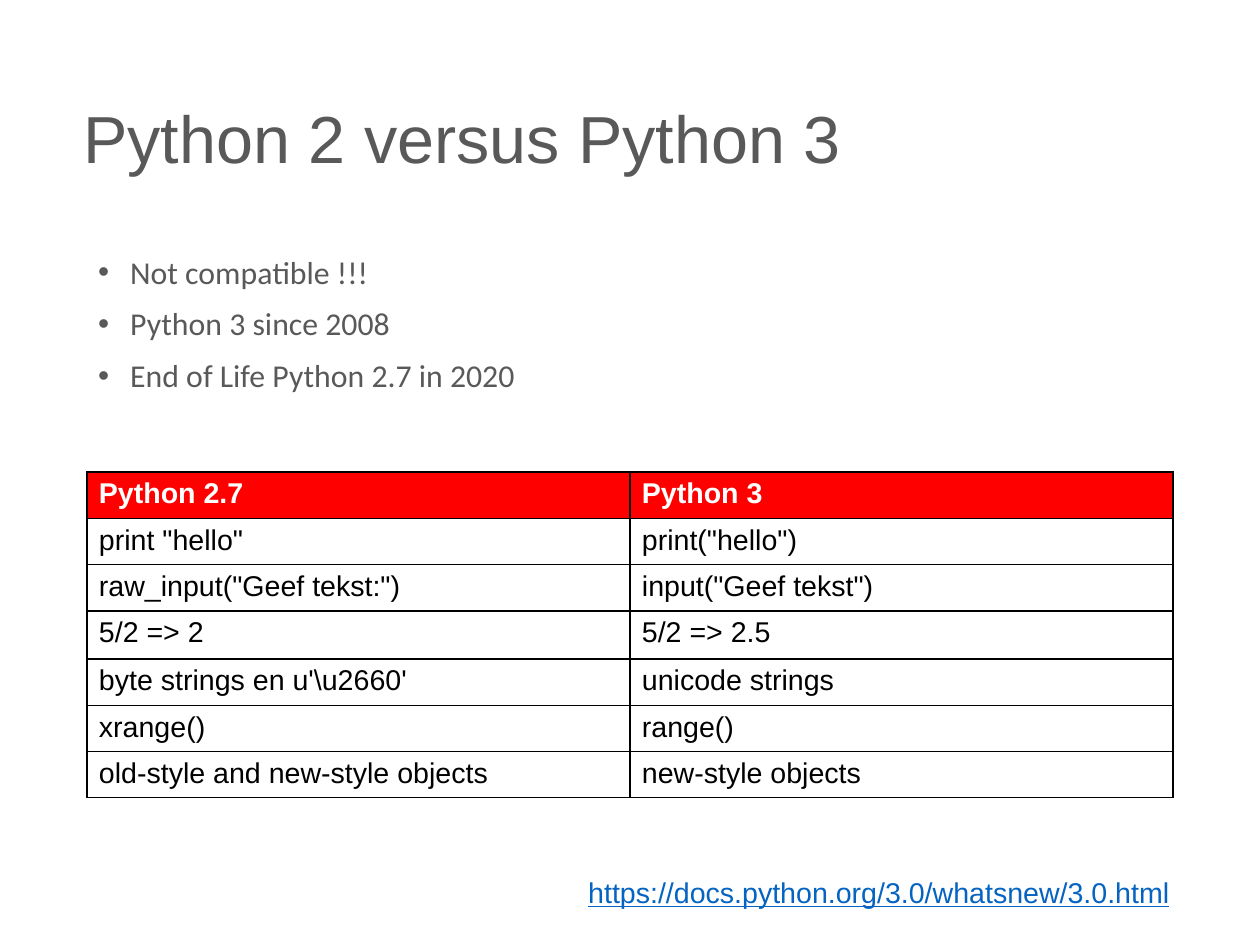
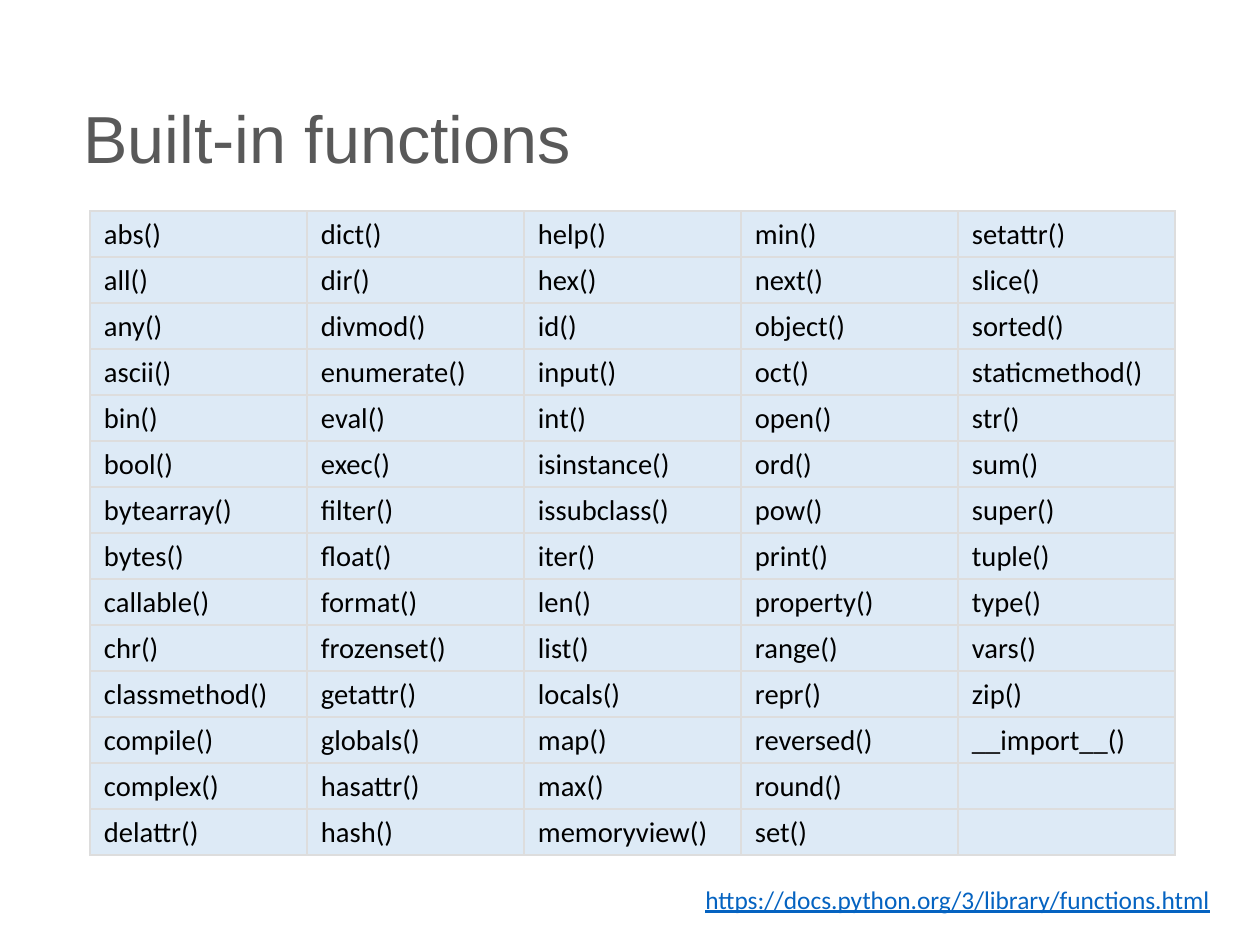
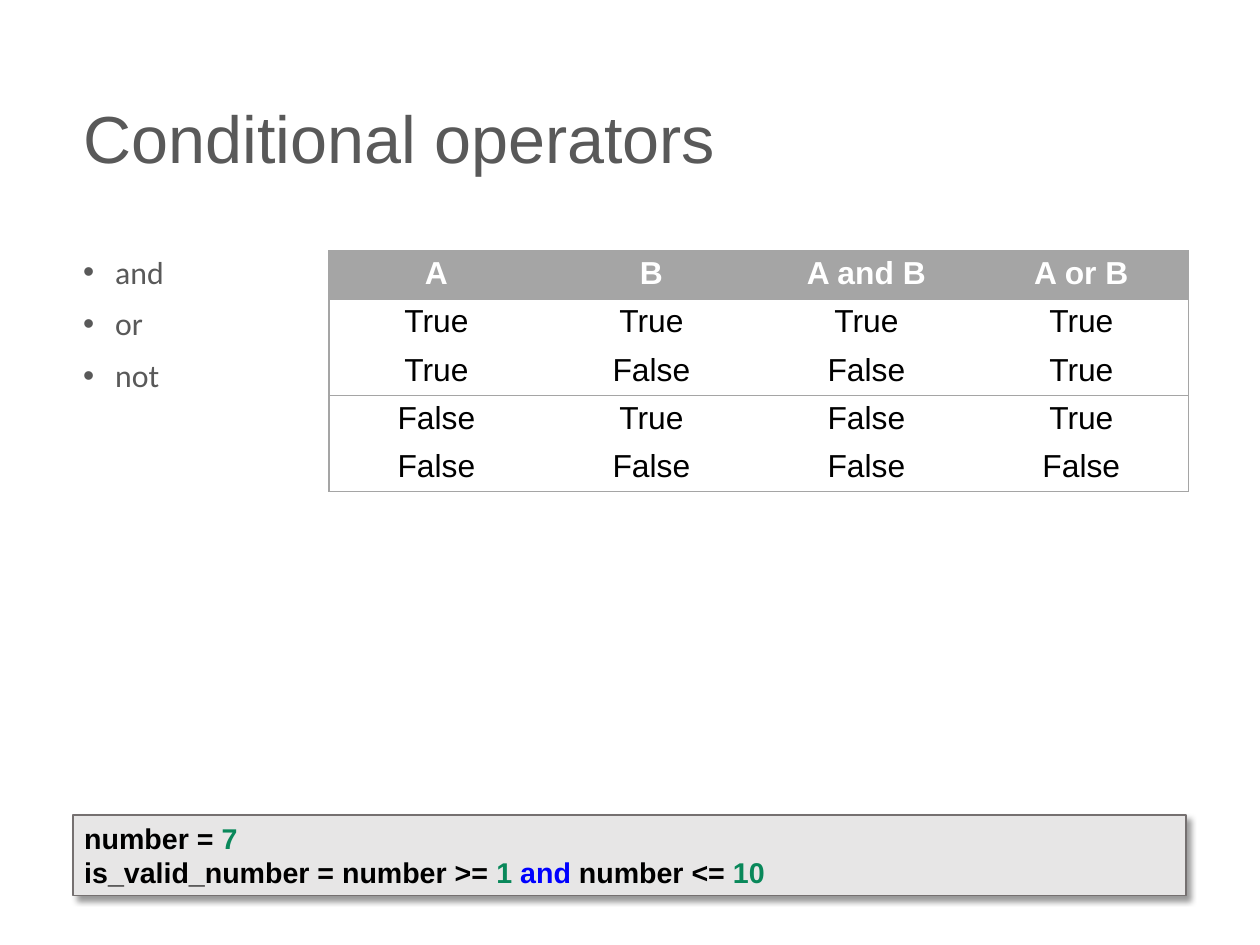
from itertools import zip_longest

from lxml import etree
from pptx import Presentation
from pptx.dml.color import RGBColor
from pptx.enum.shapes import MSO_SHAPE
from pptx.enum.text import MSO_ANCHOR, MSO_AUTO_SIZE, PP_ALIGN
from pptx.oxml.ns import qn
from pptx.util import Pt

PX = 8000  # EMU per px
LEFT, CENTER, RIGHT = PP_ALIGN.LEFT, PP_ALIGN.CENTER, PP_ALIGN.RIGHT
TOP, MIDDLE, BOTTOM = MSO_ANCHOR.TOP, MSO_ANCHOR.MIDDLE, MSO_ANCHOR.BOTTOM
TITLE_ONLY = 5
TITLE_AREA = (72, 50, 1116, 183)
COLORS = {
    "text": "595959", "black": "000000", "white": "FFFFFF", "link": "0563C1",
    "red": "FF0000", "gray": "A5A5A5", "pale blue": "DDEAF6", "pale line": "DDDDDD",
    "code fill": "E7E6E6", "code line": "757070", "number": "09885A", "keyword": "0000FF",
}


def add_span(para, text, font, size, color, bold=False, underline=False):
    span = para.add_run()
    span.text = text
    span.font.name = font
    span.font.size = Pt(size)
    span.font.color.rgb = RGBColor.from_string(COLORS[color])
    span.font.bold = bold
    span.font.underline = underline


def add_grid(page, rows, corner, column, heights, margins, font, size, line, width,
             header=None, body="white", align=LEFT, anchor=TOP, ruled=True):
    """Draw a table; unless ruled, only the frame and every second row line show."""
    last_row, last_column = len(rows) - 1, len(rows[0]) - 1
    left, top = corner
    frame = page.shapes.add_table(
        len(rows), len(rows[0]), left * PX, top * PX,
        column * len(rows[0]) * PX, sum(heights) * PX)
    table = frame.table
    table.first_row = header is not None
    table.horz_banding = False
    for table_column in table.columns:
        table_column.width = column * PX
    for r, texts in enumerate(rows):
        table.rows[r].height = heights[r] * PX
        for c, text in enumerate(texts):
            cell = table.cell(r, c)
            cell.margin_left, cell.margin_top, cell.margin_right, cell.margin_bottom = (
                margin * PX for margin in margins)
            cell.vertical_anchor = anchor
            edges = {
                "a:lnL": ruled or c == 0,
                "a:lnR": ruled or c == last_column,
                "a:lnT": ruled or r == 0 or r % 2 == 1,
                "a:lnB": ruled or r == last_row or r % 2 == 0,
            }
            properties = cell._tc.get_or_add_tcPr()
            for tag, visible in edges.items():
                edge = etree.SubElement(properties, qn(tag), w=str(Pt(width)))
                if visible:
                    paint = etree.SubElement(edge, qn("a:solidFill"))
                    etree.SubElement(paint, qn("a:srgbClr"), val=COLORS[line])
                else:
                    etree.SubElement(edge, qn("a:noFill"))
            is_header = header is not None and r == 0
            cell.fill.solid()
            cell.fill.fore_color.rgb = RGBColor.from_string(
                COLORS[header if is_header else body])
            para = cell.text_frame.paragraphs[0]
            para.alignment = align
            if text:
                add_span(para, text, font, size, "white" if is_header else "black", is_header)


deck = Presentation()
deck.slide_width, deck.slide_height = 1260 * PX, 945 * PX

# Titles
pages = []
for text in ("Python 2 versus Python 3", "Built-in functions", "Conditional operators"):
    page = deck.slides.add_slide(deck.slide_layouts[TITLE_ONLY])
    title = page.shapes.title
    title.left, title.top, title.width, title.height = (n * PX for n in TITLE_AREA)
    title.text_frame.auto_size = MSO_AUTO_SIZE.NONE
    title.text_frame.vertical_anchor = MIDDLE
    para = title.text_frame.paragraphs[0]
    para.alignment = LEFT
    para.line_spacing = 0.9
    add_span(para, text, "Arial", 41.9, "text")
    pages.append(page)
versions_page, functions_page, operators_page = pages

# Bullet lists
for page, left, width, items in (
    (versions_page, 87, 1087,
     ("Not compatible !!!", "Python 3 since 2008", "End of Life Python 2.7 in 2020")),
    (operators_page, 72, 1116, ("and", "or", "not")),
):
    box = page.shapes.add_textbox(left * PX, 251 * PX, width * PX, 680 * PX)
    box.text_frame.word_wrap = True
    for i, item in enumerate(items):
        para = box.text_frame.paragraphs[0] if i == 0 else box.text_frame.add_paragraph()
        para.line_spacing = 0.9
        if i:
            para.space_before = Pt(11)
        properties = para._p.get_or_add_pPr()
        properties.set("marL", str(32 * PX))
        properties.set("indent", str(-32 * PX))
        bullet_color = etree.SubElement(properties, qn("a:buClr"))
        etree.SubElement(bullet_color, qn("a:srgbClr"), val=COLORS["text"])
        etree.SubElement(properties, qn("a:buFont"), typeface="Arial")
        etree.SubElement(properties, qn("a:buChar"), char="•")
        add_span(para, item, "Calibri", 20, "text")

# Tables
versions = [
    ("Python 2.7", "Python 3"),
    ('print "hello"', 'print("hello")'),
    ('raw_input("Geef tekst:")', 'input("Geef tekst")'),
    ("5/2 => 2", "5/2 => 2.5"),
    (r"byte strings en u'\u2660'", "unicode strings"),
    ("xrange()", "range()"),
    ("old-style and new-style objects", "new-style objects"),
]
add_grid(versions_page, versions, (87, 472), 543, [45, 45, 45, 48, 45, 45, 45],
         (12, 6, 12, 6), "Arial", 18, "black", 1, header="red")

function_columns = (
    "abs all any ascii bin bool bytearray bytes callable chr classmethod compile complex delattr",
    "dict dir divmod enumerate eval exec filter float format frozenset getattr globals hasattr hash",
    "help hex id input int isinstance issubclass iter len list locals map max memoryview",
    "min next object oct open ord pow print property range repr reversed round set",
    "setattr slice sorted staticmethod str sum super tuple type vars zip __import__",
)
functions = list(zip_longest(
    *([f"{name}()" for name in names.split()] for names in function_columns), fillvalue=""))
add_grid(functions_page, functions, (90, 211), 217, [46] * len(functions),
         (14, 5, 5, 5), "Calibri", 18, "pale line", 1, body="pale blue", anchor=BOTTOM)

truth = [("A", "B", "A and B", "A or B")]
for a in (True, False):
    for b in (True, False):
        truth.append(tuple(str(value) for value in (a, b, a and b, a or b)))
add_grid(operators_page, truth, (329, 251), 215, [47] * len(truth),
         (11, 5, 11, 5), "Arial", 20, "gray", 0.75, header="gray", align=CENTER, ruled=False)

# Web addresses
for page, area, font, size, align, address in (
    (versions_page, (577, 869, 609, 46), "Arial", 18, LEFT,
     "https://docs.python.org/3.0/whatsnew/3.0.html"),
    (functions_page, (687, 878, 534, 42), "Calibri", 16, RIGHT,
     "https://docs.python.org/3/library/functions.html"),
):
    box = page.shapes.add_textbox(*(n * PX for n in area))
    box.text_frame.word_wrap = True
    para = box.text_frame.paragraphs[0]
    para.alignment = align
    add_span(para, address, font, size, "link", underline=True)

# Code panel
panel = operators_page.shapes.add_shape(
    MSO_SHAPE.RECTANGLE, 73 * PX, 815 * PX, 1113 * PX, 81 * PX)
panel.fill.solid()
panel.fill.fore_color.rgb = RGBColor.from_string(COLORS["code fill"])
panel.line.color.rgb = RGBColor.from_string(COLORS["code line"])
panel.line.width = Pt(0.75)
panel.shadow.inherit = False
effects = panel._element.spPr.find(qn("a:effectLst"))
shadow = etree.SubElement(effects, qn("a:outerShdw"), blurRad=str(Pt(4)), dist=str(Pt(3)),
                          dir=str(45 * 60000), algn="tl", rotWithShape="0")
shadow_color = etree.SubElement(shadow, qn("a:srgbClr"), val=COLORS["black"])
etree.SubElement(shadow_color, qn("a:alpha"), val="40000")
panel.text_frame.word_wrap = True
panel.text_frame.vertical_anchor = TOP
code_lines = (
    (("number = ", "black"), ("7", "number")),
    (("is_valid_number = number >= ", "black"), ("1 ", "number"), ("and", "keyword"),
     (" number <= ", "black"), ("10", "number")),
)
for i, spans in enumerate(code_lines):
    para = panel.text_frame.paragraphs[0] if i == 0 else panel.text_frame.add_paragraph()
    para.alignment = LEFT
    for text, color in spans:
        add_span(para, text, "Arial", 18, color, bold=True)

deck.save("out.pptx")
